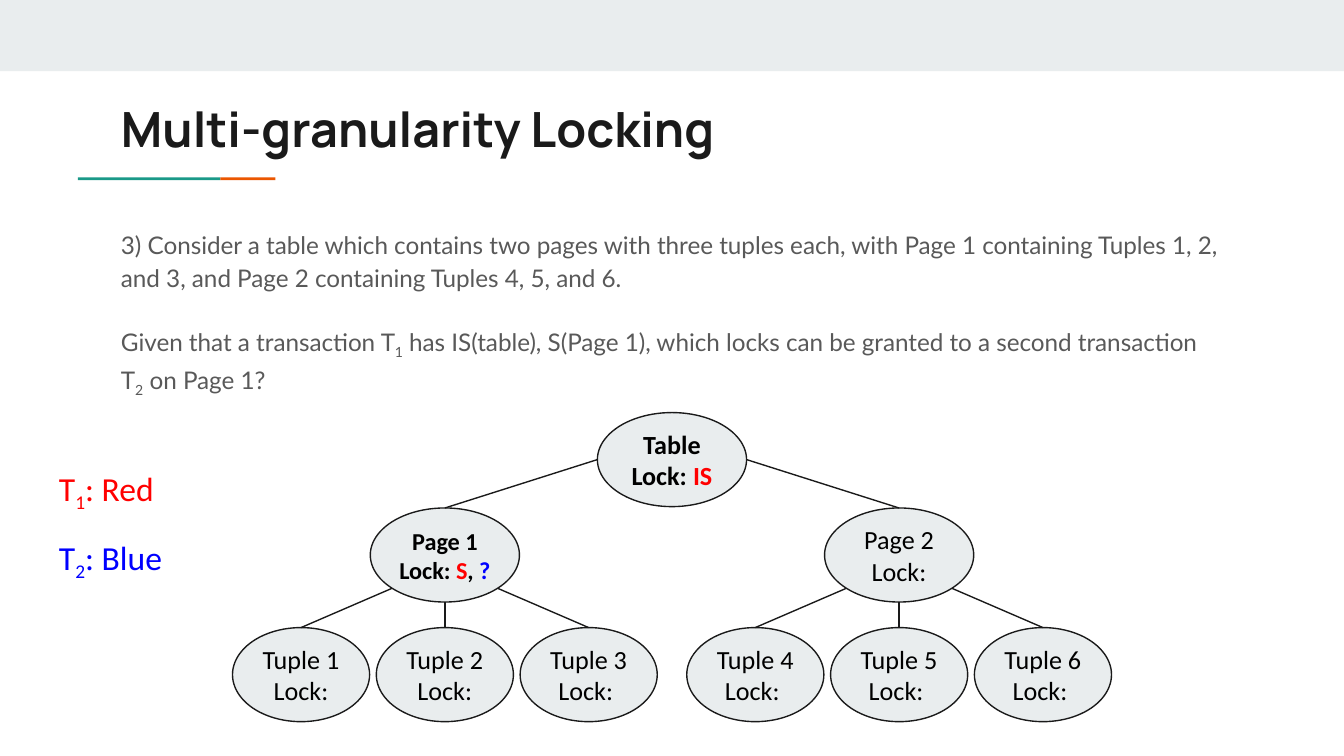
import math

import pptx
import pptx.dml.color
import pptx.enum.shapes
import pptx.enum.text
import pptx.oxml.ns
import pptx.util
from lxml import etree

Inches = pptx.util.Inches
Pt = pptx.util.Pt
SHAPE = pptx.enum.shapes.MSO_SHAPE
ALIGN = pptx.enum.text.PP_ALIGN
ANCHOR = pptx.enum.text.MSO_ANCHOR

COLORS = {
    "band": "E9EDEE", "ink": "1A1A1A", "body": "595959", "black": "000000",
    "teal": "1A9988", "orange": "EB5600", "red": "FF0000", "blue": "0000FF",
}


def rgb(name):
    """Return the named colour."""
    return pptx.dml.color.RGBColor.from_string(COLORS[name])


def add_runs(p, parts, font, size, bold=False):
    """Add (text, colour) runs to a paragraph; a leading underscore marks a subscript."""
    for text, color in parts:
        r = p.add_run()
        r.text = text.lstrip("_")
        r.font.name = font
        r.font.size = Pt(size)
        r.font.bold = bold
        r.font.color.rgb = rgb(color)
        if text.startswith("_"):
            r.font._element.set("baseline", "-25000")


def fill_text(tf, paragraphs, font, size, bold=False, align=ALIGN.LEFT,
              anchor=ANCHOR.TOP, inset=0.1, spacing=1, gap=0):
    """Write paragraphs of runs into a text frame."""
    tf.word_wrap = True
    tf.auto_size = pptx.enum.text.MSO_AUTO_SIZE.NONE
    tf.vertical_anchor = anchor
    tf.margin_left = tf.margin_right = Inches(inset)
    tf.margin_top = tf.margin_bottom = Inches(inset)
    for i, parts in enumerate(paragraphs):
        p = tf.add_paragraph() if i else tf.paragraphs[0]
        p.alignment = align
        p.line_spacing = spacing
        p.space_before = Pt(gap if i else 0)
        add_runs(p, parts, font, size, bold)


def place(sp, x, y, w, h):
    """Move and size a shape in inches."""
    sp.left, sp.top, sp.width, sp.height = map(Inches, (x, y, w, h))


def add_bar(s, x, y, w, h, color):
    """Add a plain filled rectangle."""
    sp = s.shapes.add_shape(SHAPE.RECTANGLE, *map(Inches, (x, y, w, h)))
    sp.shadow.inherit = False
    sp.fill.solid()
    sp.fill.fore_color.rgb = rgb(color)
    sp.line.fill.background()


def add_header(s, x, y, w, h):
    """Add the top band, the title and its two-colour rule."""
    add_bar(s, 0, 0, 10, 0.53, "band")
    add_bar(s, x - 0.22, y + 0.68, 1.06, 0.02, "teal")
    add_bar(s, x + 0.84, y + 0.68, 0.41, 0.02, "orange")
    place(s.shapes.title, x, y, w, h)
    fill_text(s.shapes.title.text_frame, [[("Multi-granularity Locking", "ink")]],
              "Manrope", 26, bold=True)


def add_question(s, x, y, w, h):
    """Fill the body placeholder with the question."""
    body = s.placeholders[1]
    place(body, x, y, w, h)
    paragraphs = [
        ["3) Consider a table which contains two pages with three tuples each, "
         "with Page 1 containing Tuples 1, 2, and 3, and Page 2 containing "
         "Tuples 4, 5, and 6."],
        ["Given that a transaction T", "_1",
         " has IS(table), S(Page 1), which locks can be granted to a second "
         "transaction T", "_2", " on Page 1?"],
    ]
    fill_text(body.text_frame, [[(t, "body") for t in parts] for parts in paragraphs],
              "Lato", 13, spacing=1.15, gap=16)
    for p in body.text_frame.paragraphs:
        pPr = p._p.get_or_add_pPr()
        pPr.set("marL", "0")
        pPr.set("indent", "0")
        etree.SubElement(pPr, pptx.oxml.ns.qn("a:buNone"))


def add_node(s, cx, y, w, h, name, label="Lock: ", locks=(), size=14, bold=False):
    """Add an ellipse with a name and its locks, centred on cx."""
    sp = s.shapes.add_shape(SHAPE.OVAL, *map(Inches, (cx - w / 2, y, w, h)))
    sp.shadow.inherit = False
    sp.fill.solid()
    sp.fill.fore_color.rgb = rgb("band")
    sp.line.color.rgb = rgb("ink")
    sp.line.width = Pt(0.75)
    fill_text(sp.text_frame, [[(name, "black")], [(label, "black"), *locks]],
              "Calibri", size, bold, ALIGN.CENTER, ANCHOR.MIDDLE, inset=0)
    return sp


def add_branch(s, parent, child, angle):
    """Join the parent's rim, at an angle clockwise from the right, to the child's top."""
    a = math.radians(angle)
    x = parent.left + parent.width / 2 * (1 + math.cos(a))
    y = parent.top + parent.height / 2 * (1 + math.sin(a))
    line = s.shapes.add_connector(pptx.enum.shapes.MSO_CONNECTOR.STRAIGHT,
                                  round(x), round(y), child.left, child.top)
    line.end_connect(child, 0)
    line.line.color.rgb = rgb("ink")
    line.line.width = Pt(0.75)
    etree.SubElement(line._element.spPr, pptx.oxml.ns.qn("a:effectLst"))


def add_tree(s, x, y, w, h):
    """Add the tree of table, pages and tuples."""
    node_h, page_w, tuple_w = 0.7, 1.11, 1.02
    pitch = tuple_w + 0.05
    mid = x + w / 2
    half = w / 2 - pitch - tuple_w / 2
    table = add_node(s, mid, y, page_w, node_h, "Table", locks=[("IS", "red")], bold=True)
    pages = [
        ("Page 1", -1, 180, "Lock: ",
         [("S", "red"), (", ", "black"), ("?", "blue")], 13, True),
        ("Page 2", 1, 0, "Lock:", [], 14, False),
    ]
    tuple_labels = ["Lock:"] * 2 + ["Lock: "] * 4
    for i, (name, side, angle, label, locks, size, bold) in enumerate(pages):
        cx = mid + side * half
        page = add_node(s, cx, y + 0.71, page_w, node_h, name, label, locks, size, bold)
        add_branch(s, table, page, angle)
        for j in range(3):
            n = 3 * i + j
            leaf = add_node(s, cx + (j - 1) * pitch, y + h - node_h, tuple_w, node_h,
                            f"Tuple {n + 1}", tuple_labels[n])
            add_branch(s, page, leaf, 135 - 45 * j)


def add_legend(s, x, y, w, h):
    """Add the colour key for the two transactions."""
    box = s.shapes.add_textbox(*map(Inches, (x, y, w, h)))
    keys = [("1", "Red", "red"), ("2", "Blue", "blue")]
    fill_text(box.text_frame,
              [[("T", c), (f"_{n}", c), (f": {label}", c)] for n, label, c in keys],
              "Calibri", 18, spacing=1.5)


def main():
    """Build and save the slide."""
    prs = pptx.Presentation()
    prs.slide_width = Inches(10)
    prs.slide_height = Inches(10) * 9 // 16
    s = prs.slides.add_slide(prs.slide_layouts[1])
    add_header(s, 0.8, 0.64, 8.41, 0.59)
    add_question(s, 0.8, 1.58, 8.41, 2.47)
    add_tree(s, 1.73, 3.07, 6.54, 2.3)
    add_legend(s, 0.34, 3.21, 1.41, 1.17)
    prs.save("out.pptx")


if __name__ == "__main__":
    main()
